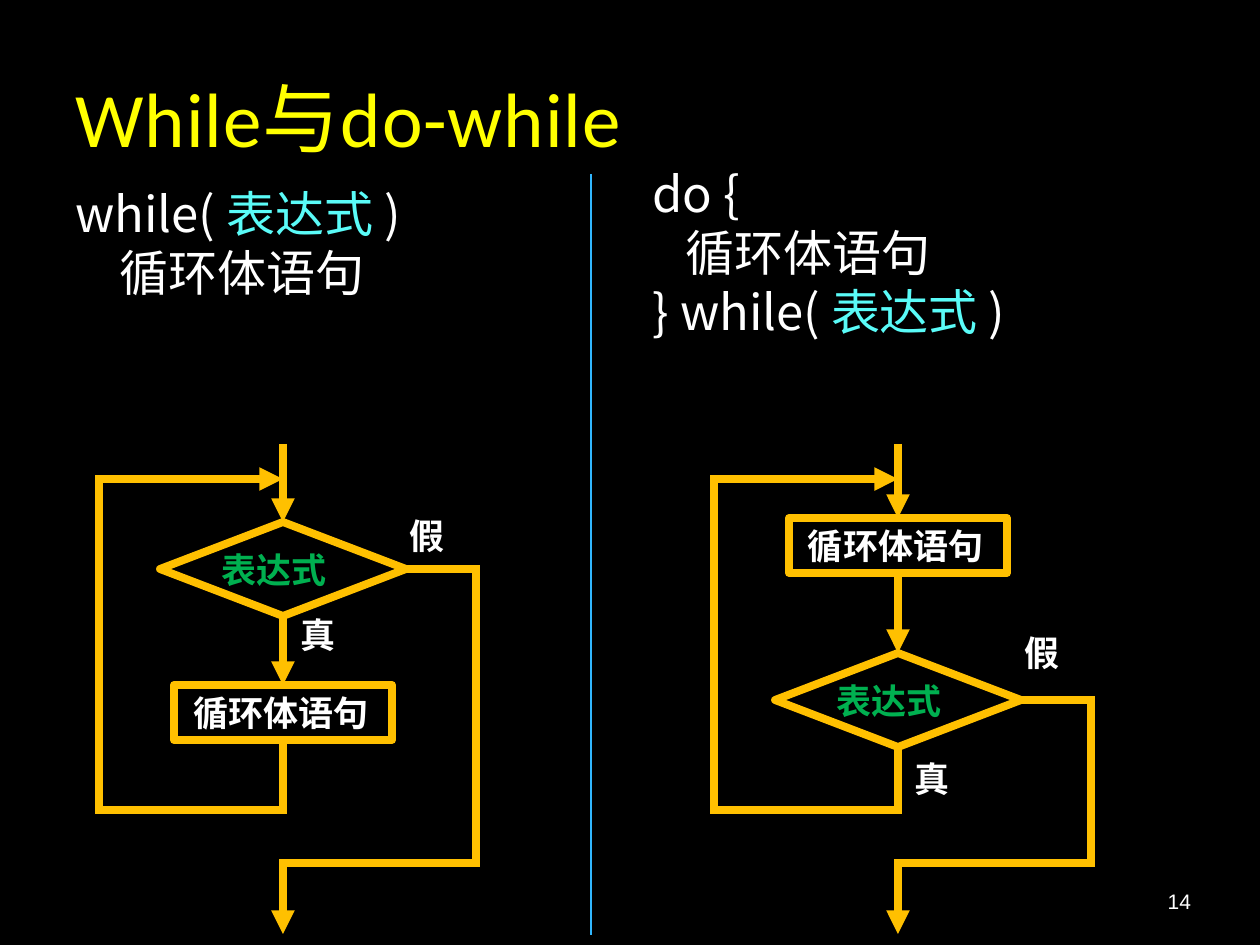
import pptx
import pptx.util
import pptx.dml.color
import pptx.enum.shapes
import pptx.enum.text
import pptx.oxml
import pptx.oxml.ns

RGBColor = pptx.dml.color.RGBColor
BLACK = RGBColor(0x00, 0x00, 0x00)
WHITE = RGBColor(0xFF, 0xFF, 0xFF)
YELLOW = RGBColor(0xFF, 0xFF, 0x00)
CYAN = RGBColor(0x5A, 0xFB, 0xF8)
ORANGE = RGBColor(0xFF, 0xC0, 0x00)
GREEN = RGBColor(0x00, 0xB0, 0x50)
BLUE = RGBColor(0x31, 0xB6, 0xFD)

SHAPE = pptx.enum.shapes.MSO_SHAPE
STRAIGHT = pptx.enum.shapes.MSO_CONNECTOR.STRAIGHT
ALIGN = pptx.enum.text.PP_ALIGN
ANCHOR = pptx.enum.text.MSO_ANCHOR
TOP, LEFT, BOTTOM, RIGHT = range(4)
PX_PER_INCH = 126
PANEL_STEP = 615


def emu(px):
    return round(px * 914400 / PX_PER_INCH)


def add_xml(parent, tag, **attributes):
    element = pptx.oxml.parse_xml(f"<a:{tag} {pptx.oxml.ns.nsdecls('a')}/>")
    for name, value in attributes.items():
        element.set(name, value)
    parent.append(element)


class FlowSlide:
    """Holds the slide, the text and line style, and the shapes being drawn into."""

    code_font = "Noto Sans CJK SC"
    flow_font = "Times New Roman"
    flow_width = 4.5

    def __init__(self, deck):
        self.slide = deck.slides.add_slide(deck.slide_layouts[3])
        self.slide.background.fill.solid()
        self.slide.background.fill.fore_color.rgb = BLACK
        self.shapes = self.slide.shapes

    def start_group(self):
        self.shapes = self.slide.shapes.add_group_shape().shapes

    def end_group(self):
        self.shapes = self.slide.shapes

    def set_font(self, para, name, size, color, bold=False):
        font = para.font
        font.name, font.size, font.bold = name, pptx.util.Pt(size), bold
        font.color.rgb = color

    def place(self, box, left, top, width, height):
        box.left, box.top = emu(left), emu(top)
        box.width, box.height = emu(width), emu(height)

    def title(self, text, *bounds):
        box = self.slide.shapes.title
        self.place(box, *bounds)
        box.text_frame.vertical_anchor = ANCHOR.MIDDLE
        para = box.text_frame.paragraphs[0]
        para.alignment = ALIGN.LEFT
        span = para.add_run()
        span.text = text
        span.font._element.set("spc", "50")
        self.set_font(para, "Calibri", 44, YELLOW)

    def code(self, index, lines, *bounds):
        """Fill a body placeholder; each line is a list of (text, color) spans."""
        box = self.slide.placeholders[index]
        self.place(box, *bounds)
        frame = box.text_frame
        frame.auto_size = pptx.enum.text.MSO_AUTO_SIZE.NONE
        frame.vertical_anchor = ANCHOR.TOP
        for number, line in enumerate(lines):
            para = frame.add_paragraph() if number else frame.paragraphs[0]
            para.line_spacing = 0.88
            para.space_before = pptx.util.Pt(4 if number else 0)
            properties = para._p.get_or_add_pPr()
            properties.set("marL", "0")
            properties.set("indent", "0")
            add_xml(properties, "buNone")
            self.set_font(para, self.code_font, 28, WHITE)
            for text, color in line:
                span = para.add_run()
                span.text = text
                if color != WHITE:
                    span.font.color.rgb = color

    def fill_text(self, box, text, font, size, color, margin,
                  bold=False, align=ALIGN.LEFT):
        frame = box.text_frame
        frame.word_wrap = True
        frame.vertical_anchor = ANCHOR.MIDDLE
        frame.margin_left = frame.margin_right = emu(margin)
        para = frame.paragraphs[0]
        para.text = text
        para.alignment = align
        self.set_font(para, font, size, color, bold)

    def label(self, text, *bounds):
        box = self.shapes.add_textbox(*map(emu, bounds))
        self.fill_text(box, text, self.flow_font, 20, WHITE, 13, bold=True)

    def page_number(self, text, *bounds):
        box = self.shapes.add_textbox(*map(emu, bounds))
        self.fill_text(box, text, "Arial", 12, WHITE, 6, align=ALIGN.RIGHT)

    def node(self, kind, text, color, margin, *bounds):
        shape = self.shapes.add_shape(kind, *map(emu, bounds))
        shape.shadow.inherit = False
        shape.fill.background()
        shape.line.color.rgb = ORANGE
        shape.line.width = pptx.util.Pt(self.flow_width)
        self.fill_text(shape, text, self.flow_font, 20, color, margin, bold=True)
        return shape

    def line(self, start, end, begin=None, finish=None, arrow=False,
             color=ORANGE, width=flow_width):
        """Draw start to end; begin and finish are (shape, side) joints."""
        connector = self.shapes.add_connector(STRAIGHT, *map(emu, start + end))
        connector.line.color.rgb = color
        connector.line.width = pptx.util.Pt(width)
        add_xml(connector._element.spPr, "effectLst")
        outline = connector.line._get_or_add_ln()
        if arrow:
            add_xml(outline, "tailEnd", type="triangle")
        else:
            outline.set("cap", "sq")
        if begin:
            connector.begin_connect(*begin)
        if finish:
            connector.end_connect(*finish)

    def flowchart(self, left, test_top, body_top, true_top, false_top):
        """Draw one loop; whichever of test and body is higher comes first."""
        axis, loop_x, exit_x = left + 283, left + 99, left + 476
        entry_y, join_y, loop_y, exit_y, end_y = 444, 479, 810, 863, 934
        test_width, test_height, body_width, body_height = 246, 94, 218, 55
        self.start_group()
        test = self.node(SHAPE.DIAMOND, "表达式", GREEN, 0, axis - test_width // 2,
                         test_top, test_width, test_height)
        body = self.node(SHAPE.RECTANGLE, "循环体语句", WHITE, 19,
                         axis - body_width // 2, body_top, body_width, body_height)
        first, second = sorted((test, body), key=lambda shape: shape.top)
        test_y = test_top + test_height // 2

        self.line((axis, entry_y), (axis, join_y), finish=(first, TOP), arrow=True)
        self.line((axis, join_y), (axis, loop_y), (first, BOTTOM), (second, TOP),
                  arrow=True)
        self.line((axis, join_y), (axis, loop_y), begin=(second, BOTTOM))
        self.line((axis, loop_y), (loop_x, loop_y))
        self.line((loop_x, loop_y), (loop_x, join_y))
        self.line((loop_x, join_y), (axis, join_y), arrow=True)

        self.line((axis, test_y), (exit_x, test_y), begin=(test, RIGHT))
        self.line((exit_x, test_y), (exit_x, exit_y))
        self.line((exit_x, exit_y), (axis, exit_y))
        self.line((axis, exit_y), (axis, end_y), arrow=True)

        self.label("真", left + 287, true_top, 68, 54)
        self.label("假", left + 397, false_top, 60, 54)
        self.end_group()


def main():
    deck = pptx.Presentation()
    deck.slide_width, deck.slide_height = emu(1260), emu(945)
    page = FlowSlide(deck)
    page.title("While与do-while", 63, 38, 1071, 158)
    condition = [("表达式 ", CYAN), (")", WHITE)]
    page.code(1, [[("while( ", WHITE)] + condition,
                  [("    循环体语句", WHITE)]], 63, 185, 557, 659)
    page.code(2, [[("do {", WHITE)],
                  [("   循环体语句", WHITE)],
                  [("} while( ", WHITE)] + condition], 640, 165, 557, 679)
    page.page_number("14", 903, 876, 294, 50)
    page.flowchart(0, test_top=522, body_top=685, true_top=607, false_top=508)
    page.flowchart(PANEL_STEP, test_top=653, body_top=518,
                   true_top=751, false_top=625)
    page.line((591, 175), (591, 934), color=BLUE, width=1)
    deck.save("out.pptx")


if __name__ == "__main__":
    main()
